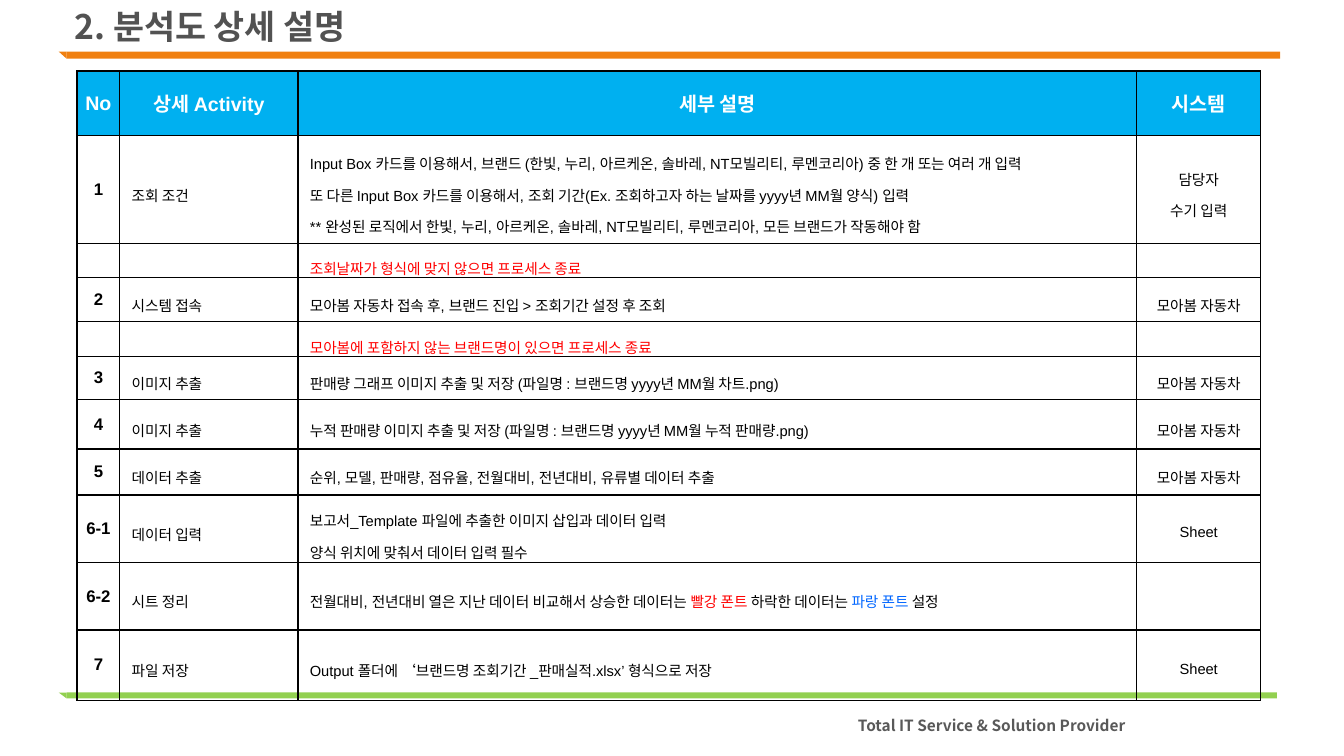
from dataclasses import dataclass

from lxml import etree
from pptx import Presentation
from pptx.dml.color import RGBColor
from pptx.enum.shapes import MSO_SHAPE
from pptx.enum.text import MSO_ANCHOR, PP_ALIGN
from pptx.oxml.ns import qn
from pptx.util import Cm, Pt

RECTANGLE = MSO_SHAPE.RECTANGLE
RIGHT_TRIANGLE = MSO_SHAPE.RIGHT_TRIANGLE
MIDDLE = MSO_ANCHOR.MIDDLE
LEFT, CENTER, RIGHT = PP_ALIGN.LEFT, PP_ALIGN.CENTER, PP_ALIGN.RIGHT

LATIN, KOREAN = "Arial", "Noto Sans CJK KR"
BLACK, WHITE, RED, BLUE = "000000", "FFFFFF", "FF0000", "0066FF"
ORANGE, GREEN, HEADER_BLUE = "F08010", "92D050", "00B0F0"

COLUMN_WIDTHS = (1.08, 4.49, 21.14, 3.12)
HEADINGS = ("No", "상세 Activity", "세부 설명", "시스템")
HEADER_HEIGHT = 1.62
CAR_SITE = "모아봄 자동차"
BRANDS = "한빛, 누리, 아르케온, 솔바레, NT모빌리티, 루멘코리아"


@dataclass
class Span:
    text: str
    color: str = BLACK


@dataclass
class Style:
    size: float
    color: str = BLACK
    bold: bool = False
    align: PP_ALIGN = LEFT
    spacing: float = 1.0
    latin: str = LATIN


@dataclass
class Step:
    height: float
    number: str
    activity: str
    details: list[list[Span]]
    system: str = ""


@dataclass
class Band:
    top: float
    width: float
    height: float
    color: str


HEADING = Style(14, WHITE, True, CENTER)
NUMBER = Style(12, BLACK, True, CENTER)
BODY = Style(10.5, spacing=1.5)
SYSTEM = Style(10.5, align=CENTER, spacing=1.5)
TITLE = Style(24.1, "525252", True, latin=KOREAN)
TAGLINE = Style(11, "595959", True, RIGHT, latin=KOREAN)

BANDS = (Band(1.3, 30.58, 0.18, ORANGE), Band(17.45, 30.5, 0.15, GREEN))

STEPS = (
    Step(2.72, "1", "조회 조건", [
        [Span(f"Input Box 카드를 이용해서, 브랜드 ({BRANDS}) 중 한 개 또는 여러 개 입력")],
        [Span("또 다른 Input Box 카드를 이용해서, 조회 기간(Ex. 조회하고자 하는 날짜를 yyyy년 MM월 양식) 입력")],
        [Span(f"** 완성된 로직에서 {BRANDS}, 모든 브랜드가 작동해야 함")],
    ], "담당자\n수기 입력"),
    Step(0.86, "", "", [[Span("조회날짜가 형식에 맞지 않으면 프로세스 종료", RED)]]),
    Step(1.11, "2", "시스템 접속",
         [[Span(f"{CAR_SITE} 접속 후, 브랜드 진입 > 조회기간 설정 후 조회")]], CAR_SITE),
    Step(0.85, "", "", [[Span("모아봄에 포함하지 않는 브랜드명이 있으면 프로세스 종료", RED)]]),
    Step(1.1, "3", "이미지 추출",
         [[Span("판매량 그래프 이미지 추출 및 저장 (파일명 : 브랜드명 yyyy년 MM월 차트.png)")]], CAR_SITE),
    Step(1.24, "4", "이미지 추출",
         [[Span("누적 판매량 이미지 추출 및 저장 (파일명 : 브랜드명 yyyy년 MM월 누적 판매량.png)")]], CAR_SITE),
    Step(1.16, "5", "데이터 추출",
         [[Span("순위, 모델, 판매량, 점유율, 전월대비, 전년대비, 유류별 데이터 추출")]], CAR_SITE),
    Step(1.7, "6-1", "데이터 입력", [
        [Span("보고서_Template 파일에 추출한 이미지 삽입과 데이터 입력")],
        [Span("양식 위치에 맞춰서 데이터 입력 필수")],
    ], "Sheet"),
    Step(1.7, "6-2", "시트 정리", [[
        Span("전월대비, 전년대비 열은 지난 데이터 비교해서 상승한 데이터는 "),
        Span("빨강 폰트 ", RED),
        Span("하락한 데이터는 "),
        Span("파랑 폰트 ", BLUE),
        Span("설정"),
    ]]),
    Step(1.77, "7", "파일 저장",
         [[Span("Output 폴더에 ‘브랜드명 조회기간 _판매실적.xlsx’ 형식으로 저장")]], "Sheet"),
)


def rgb(color: str) -> RGBColor:
    return RGBColor.from_string(color)


def plain(text: str, style: Style) -> list[list[Span]]:
    return [[Span(line, style.color)] for line in text.split("\n")]


def write(frame, lines: list[list[Span]], style: Style) -> None:
    frame.text = "\n".join(line[0].text for line in lines)
    for paragraph, line in zip(frame.paragraphs, lines):
        paragraph.alignment = style.align
        paragraph.line_spacing = style.spacing
        for span in line[1:]:
            paragraph.add_run().text = span.text
        for run, span in zip(paragraph.runs, line):
            run.font.size = Pt(style.size)
            run.font.bold = style.bold
            run.font.name = style.latin
            run.font.color.rgb = rgb(span.color)
            etree.SubElement(run.font._element, qn("a:ea"), typeface=KOREAN)
        if not paragraph.runs:
            # Keeps empty cells from stretching their row
            etree.SubElement(paragraph._p, qn("a:endParaRPr"), sz=str(int(style.size * 100)))


def draw_band(slide, band: Band) -> None:
    bar_left, tip_width = 1.68, 0.2
    parts = ((RECTANGLE, bar_left, band.width, 0),
             (RIGHT_TRIANGLE, bar_left - tip_width, tip_width, 180))
    for preset, left, width, rotation in parts:
        part = slide.shapes.add_shape(preset, Cm(left), Cm(band.top), Cm(width), Cm(band.height))
        part.rotation = rotation
        part.shadow.inherit = False
        part.fill.solid()
        part.fill.fore_color.rgb = rgb(band.color)
        part.line.fill.background()


def draw_label(slide, text: str, style: Style, left: float, top: float,
               width: float, height: float, inset: float) -> None:
    frame = slide.shapes.add_textbox(Cm(left), Cm(top), Cm(width), Cm(height)).text_frame
    frame.word_wrap = True
    frame.vertical_anchor = MIDDLE
    frame.margin_left = frame.margin_right = Cm(inset)
    frame.margin_top = frame.margin_bottom = 0
    write(frame, plain(text, style), style)


def fill_cell(cell, lines: list[list[Span]], style: Style, fill: str = "") -> None:
    cell.vertical_anchor = MIDDLE
    cell.margin_left = Cm(0.3 if style is BODY else 0.1)
    cell.margin_right = cell.margin_top = cell.margin_bottom = Cm(0.1)
    write(cell.text_frame, lines, style)
    # Black rule on every side
    properties = cell._tc.get_or_add_tcPr()
    for side in ("lnL", "lnR", "lnT", "lnB"):
        rule = etree.SubElement(properties, qn(f"a:{side}"), w=str(Pt(1)))
        solid = etree.SubElement(rule, qn("a:solidFill"))
        etree.SubElement(solid, qn("a:srgbClr"), val=BLACK)
    if fill:
        cell.fill.solid()
        cell.fill.fore_color.rgb = rgb(fill)
    else:
        cell.fill.background()


def draw_steps(slide) -> None:
    heights = [HEADER_HEIGHT] + [step.height for step in STEPS]
    table = slide.shapes.add_table(len(heights), len(COLUMN_WIDTHS), Cm(1.94), Cm(1.79),
                                   Cm(sum(COLUMN_WIDTHS)), Cm(sum(heights))).table
    table.first_row = table.horz_banding = False
    for column, width in zip(table.columns, COLUMN_WIDTHS):
        column.width = Cm(width)
    for row, height in zip(table.rows, heights):
        row.height = Cm(height)
    for index, heading in enumerate(HEADINGS):
        fill_cell(table.cell(0, index), plain(heading, HEADING), HEADING, HEADER_BLUE)
    for index, step in enumerate(STEPS, start=1):
        fill_cell(table.cell(index, 0), plain(step.number, NUMBER), NUMBER)
        fill_cell(table.cell(index, 1), plain(step.activity, BODY), BODY)
        fill_cell(table.cell(index, 2), step.details, BODY)
        fill_cell(table.cell(index, 3), plain(step.system, SYSTEM), SYSTEM)


def main() -> None:
    deck = Presentation()
    deck.slide_width, deck.slide_height = Cm(33.87), Cm(19.05)
    slide = deck.slides.add_slide(deck.slide_layouts[6])

    # Frame of the page
    for band in BANDS:
        draw_band(slide, band)
    draw_label(slide, "Total IT Service & Solution Provider", TAGLINE, 20.4, 18.03, 7.97, 0.5, 0)

    # Title and process steps
    draw_label(slide, "2. 분석도 상세 설명", TITLE, 1.63, 0, 14.25, 1.3, 0.25)
    draw_steps(slide)

    deck.save("out.pptx")


if __name__ == "__main__":
    main()
